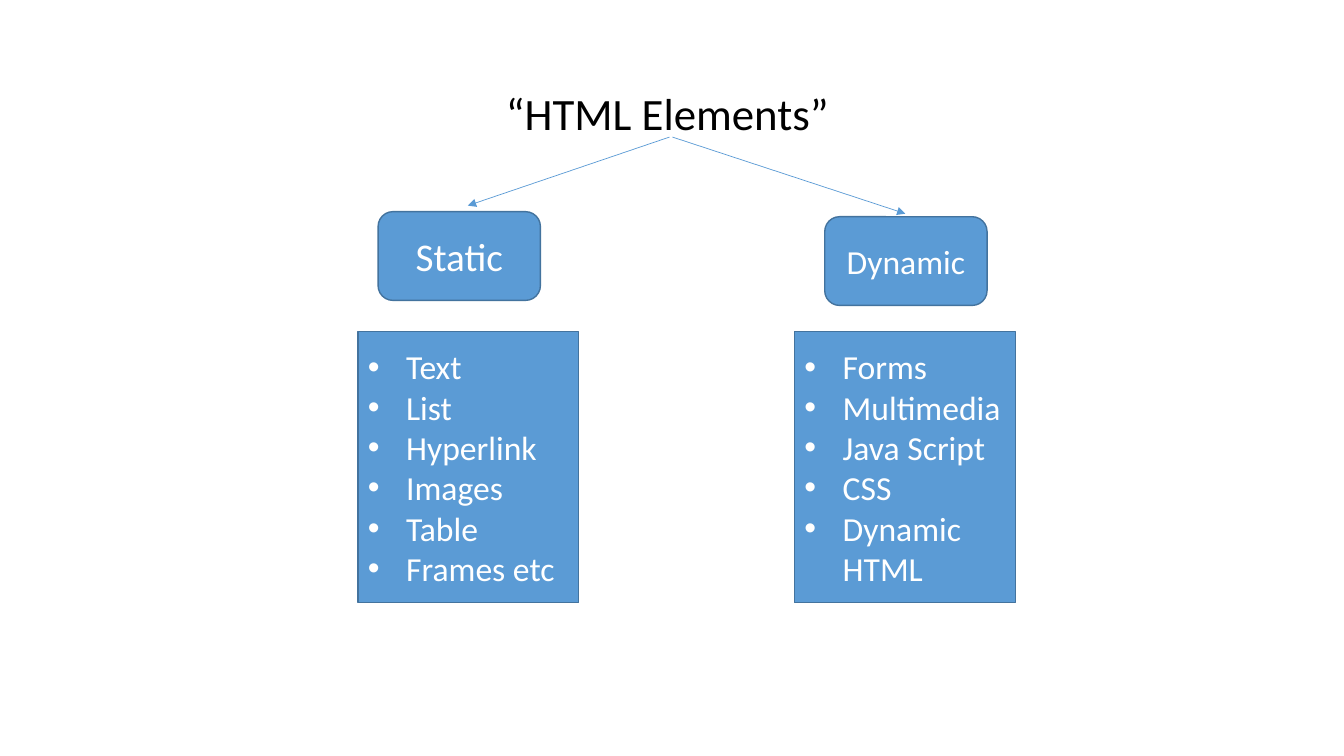
from lxml import etree
from pptx import Presentation
from pptx import util as u
from pptx.dml.color import RGBColor
from pptx.enum import shapes, text
from pptx.oxml import ns

COLORS = {"fill": "5B9BD5", "border": "43739E", "white": "FFFFFF", "black": "000000"}
FONT = "Calibri"
BRANCHES = [
    ("Static", 28, (3.75, 2.1), (3.55, 3.29), (6.64, 1.36), (4.64, 2.04),
     ["Text", "List", "Hyperlink", "Images", "Table", "Frames etc"]),
    ("Dynamic", 24, (8.18, 2.15), (7.88, 3.29), (6.67, 1.36), (8.98, 2.12),
     ["Forms", "Multimedia", "Java Script", "CSS", "Dynamic HTML"]),
]


def rgb(name):
    """Return the named colour."""
    return RGBColor.from_string(COLORS[name])


def format_paragraph(p, size, color, align):
    """Set the font and alignment of a paragraph."""
    p.alignment = align
    p.font.name = FONT
    p.font.size = u.Pt(size)
    p.font.color.rgb = rgb(color)


def add_title(s, left, top, width, height):
    """Place the slide title in its box."""
    title = s.shapes.title
    title.left, title.top = u.Inches(left), u.Inches(top)
    title.width, title.height = u.Inches(width), u.Inches(height)
    tf = title.text_frame
    tf.text = "“HTML Elements”"
    tf.auto_size = text.MSO_AUTO_SIZE.NONE
    tf.vertical_anchor = text.MSO_ANCHOR.TOP
    p = tf.paragraphs[0]
    p.line_spacing = 0.9
    format_paragraph(p, 32, "black", text.PP_ALIGN.CENTER)


def add_box(s, kind, left, top, width, height):
    """Add a filled, outlined box and return its text frame."""
    sp = s.shapes.add_shape(kind, *map(u.Inches, (left, top, width, height)))
    sp.shadow.inherit = False
    sp.fill.solid()
    sp.fill.fore_color.rgb = rgb("fill")
    sp.line.color.rgb = rgb("border")
    sp.line.width = u.Pt(1)
    tf = sp.text_frame
    tf.word_wrap = True
    tf.vertical_anchor = text.MSO_ANCHOR.MIDDLE
    return tf


def add_heading(s, left, top, label, size):
    """Add the rounded heading of a branch."""
    tf = add_box(s, shapes.MSO_SHAPE.ROUNDED_RECTANGLE, left, top, 1.61, 0.88)
    tf.text = label
    format_paragraph(tf.paragraphs[0], size, "white", text.PP_ALIGN.CENTER)


def add_list(s, left, top, items):
    """Add the bulleted list of a branch."""
    tf = add_box(s, shapes.MSO_SHAPE.RECTANGLE, left, top, 2.19, 2.69)
    tf.text = "\n".join(items)
    indent = u.Inches(0.38)
    for p in tf.paragraphs:
        props = p._p.get_or_add_pPr()
        props.set("marL", str(indent))
        props.set("indent", str(-indent))
        etree.SubElement(props, ns.qn("a:buFont")).set("typeface", "Arial")
        etree.SubElement(props, ns.qn("a:buChar")).set("char", "•")
        format_paragraph(p, 24, "white", text.PP_ALIGN.JUSTIFY)


def add_arrow(s, start, end):
    """Draw a thin arrow from start to end."""
    arrow = s.shapes.add_connector(
        shapes.MSO_CONNECTOR.STRAIGHT, *map(u.Inches, (*start, *end)))
    arrow.line.color.rgb = rgb("fill")
    arrow.line.width = u.Pt(0.5)
    etree.SubElement(arrow.line._get_or_add_ln(), ns.qn("a:tailEnd")).set("type", "triangle")
    etree.SubElement(arrow._element.spPr, ns.qn("a:effectLst"))


def main():
    """Build and save the slide."""
    prs = Presentation()
    prs.slide_width, prs.slide_height = u.Inches(13.33), u.Inches(7.5)
    s = prs.slides.add_slide(prs.slide_layouts[5])
    add_title(s, 4.12, 0.86, 5, 0.5)
    for label, size, heading_at, list_at, start, end, items in BRANCHES:
        add_arrow(s, start, end)
        add_heading(s, *heading_at, label, size)
        add_list(s, *list_at, items)
    prs.save("out.pptx")


if __name__ == "__main__":
    main()
